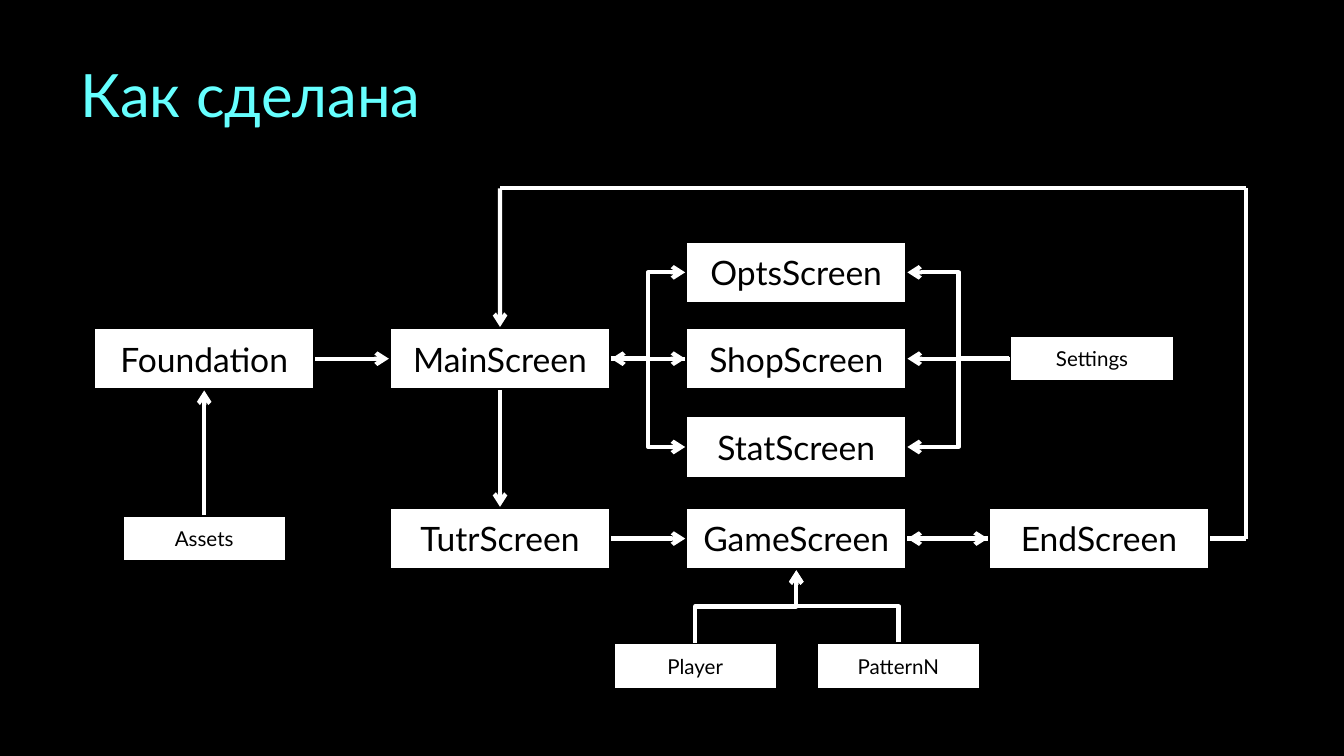
"""Build the slide with the screen flow diagram of the game."""
import pptx
import pptx.dml.color
import pptx.enum.shapes
import pptx.enum.text
import pptx.oxml.ns
import pptx.util
from lxml import etree
from pptx.util import Cm

FONT = "Lato"
BLACK, WHITE, CYAN = "000000", "FFFFFF", "66FFFF"
STRAIGHT = pptx.enum.shapes.MSO_CONNECTOR.STRAIGHT
ELBOW = pptx.enum.shapes.MSO_CONNECTOR.ELBOW
TOP, LEFT, BOTTOM, RIGHT = range(4)


def paint(target, color):
    if hasattr(target, "solid"):
        target.solid()
        target = target.fore_color
    target.rgb = pptx.dml.color.RGBColor.from_string(color)


def add_line(kind, begin=(0, 0), end=(0, 0), arrow=True):
    connector = slide.shapes.add_connector(kind, *map(Cm, begin + end))
    connector.line.width = pptx.util.Pt(2.25)
    paint(connector.line.fill, WHITE)
    properties = connector.element.spPr
    if arrow:
        line = properties.find(pptx.oxml.ns.qn("a:ln"))
        etree.SubElement(line, pptx.oxml.ns.qn("a:tailEnd"), type="arrow")
    etree.SubElement(properties, pptx.oxml.ns.qn("a:effectLst"))
    return connector


presentation = pptx.Presentation()
presentation.slide_width, presentation.slide_height = Cm(25.4), Cm(14.29)
slide = presentation.slides.add_slide(presentation.slide_layouts[5])
paint(slide.background.fill, BLACK)

title = slide.shapes.title
title.left, title.top, title.width, title.height = Cm(1.27), Cm(0.58), Cm(22.86), Cm(2.39)
title.text_frame.text = "Как сделана"
title.text_frame.vertical_anchor = pptx.enum.text.MSO_ANCHOR.MIDDLE
paragraph = title.text_frame.paragraphs[0]
paragraph.alignment = pptx.enum.text.PP_ALIGN.LEFT
paragraph.font.name, paragraph.font.size = FONT, pptx.util.Pt(32)
paint(paragraph.font.color, CYAN)

columns = [3.86, 9.45, 15.05, 20.77]
rows = [5.15, 6.78, 8.45, 10.18]
screen_size, part_size = (4.2, 1.2, 18), (3.12, 0.89, 11)
boxes = [
    ("Foundation", columns[0], rows[1], screen_size),
    ("MainScreen", columns[1], rows[1], screen_size),
    ("OptsScreen", columns[2], rows[0], screen_size),
    ("ShopScreen", columns[2], rows[1], screen_size),
    ("StatScreen", columns[2], rows[2], screen_size),
    ("TutrScreen", columns[1], rows[3], screen_size),
    ("GameScreen", columns[2], rows[3], screen_size),
    ("EndScreen", columns[3], rows[3], screen_size),
    ("Player", 13.14, 12.59, part_size),
    ("PatternN", 16.98, 12.59, part_size),
    ("Settings", 20.64, rows[1], part_size),
    ("Assets", columns[0], rows[3], part_size),
]
shapes = {}
for name, center_x, center_y, (width, height, font_size) in boxes:
    shape = slide.shapes.add_shape(
        pptx.enum.shapes.MSO_SHAPE.RECTANGLE,
        Cm(center_x - width / 2), Cm(center_y - height / 2), Cm(width), Cm(height))
    shape.shadow.inherit = False
    paint(shape.fill, WHITE)
    paint(shape.line.fill, BLACK)
    shape.line.width = pptx.util.Pt(2)
    shape.text_frame.text = name
    shape.text_frame.vertical_anchor = pptx.enum.text.MSO_ANCHOR.MIDDLE
    paragraph = shape.text_frame.paragraphs[0]
    paragraph.alignment = pptx.enum.text.PP_ALIGN.CENTER
    paragraph.font.name, paragraph.font.size = FONT, pptx.util.Pt(font_size)
    paint(paragraph.font.color, BLACK)
    shapes[name] = shape

links = [
    (ELBOW, "Foundation", RIGHT, "MainScreen", LEFT),
    (ELBOW, "MainScreen", RIGHT, "OptsScreen", LEFT),
    (ELBOW, "MainScreen", RIGHT, "StatScreen", LEFT),
    (STRAIGHT, "MainScreen", RIGHT, "ShopScreen", LEFT),
    (STRAIGHT, "ShopScreen", LEFT, "MainScreen", RIGHT),
    (STRAIGHT, "MainScreen", BOTTOM, "TutrScreen", TOP),
    (STRAIGHT, "TutrScreen", RIGHT, "GameScreen", LEFT),
    (STRAIGHT, "GameScreen", RIGHT, "EndScreen", LEFT),
    (STRAIGHT, "EndScreen", LEFT, "GameScreen", RIGHT),
    (STRAIGHT, "Settings", LEFT, "ShopScreen", RIGHT),
    (ELBOW, "Settings", LEFT, "OptsScreen", RIGHT),
    (ELBOW, "Settings", LEFT, "StatScreen", RIGHT),
    (STRAIGHT, "Assets", TOP, "Foundation", BOTTOM),
]
for kind, source, source_side, target, target_side in links:
    connector = add_line(kind)
    connector.begin_connect(shapes[source], source_side)
    connector.end_connect(shapes[target], target_side)

return_x, return_y = 23.55, 3.56
end_right = columns[3] + screen_size[0] / 2
main_top = rows[1] - screen_size[1] / 2
corners = [(end_right, rows[3]), (return_x, rows[3]), (return_x, return_y),
           (columns[1], return_y), (columns[1], main_top)]
segments = [add_line(STRAIGHT, begin, end, arrow=end == corners[-1])
            for begin, end in zip(corners, corners[1:])]
segments[0].begin_connect(shapes["EndScreen"], RIGHT)
segments[-1].end_connect(shapes["MainScreen"], TOP)

game_bottom = rows[3] + screen_size[1] / 2
for name, part_x, part_y, (width, height, font_size) in boxes[8:10]:
    part_top = part_y - height / 2
    middle_x, middle_y = (part_x + columns[2]) / 2, (part_top + game_bottom) / 2
    half_rise, half_run = (part_top - game_bottom) / 2, (columns[2] - part_x) / 2
    connector = add_line(ELBOW, (middle_x - half_rise, middle_y - half_run),
                         (middle_x + half_rise, middle_y + half_run))
    connector.element.spPr.find(pptx.oxml.ns.qn("a:xfrm")).set("rot", str(270 * 60000))

presentation.save("out.pptx")
